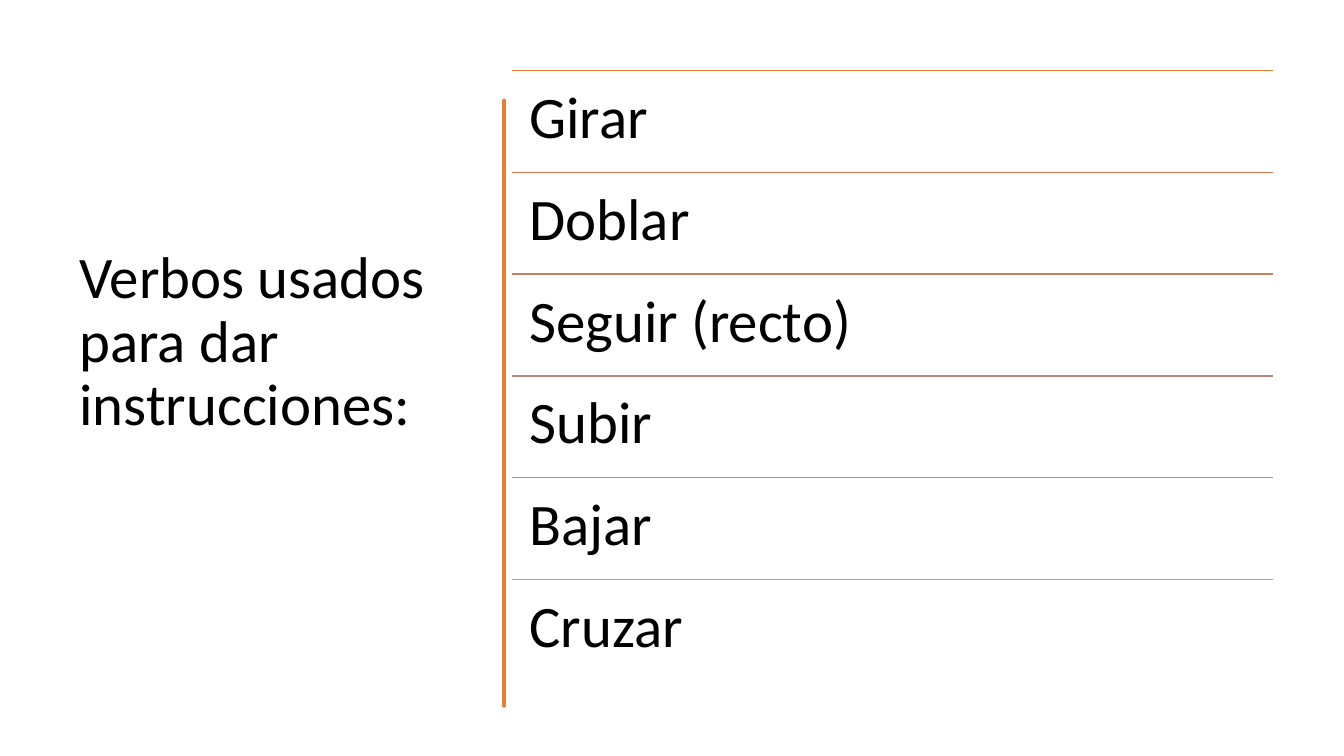
import pptx
import pptx.util
import pptx.dml.color
import pptx.enum.shapes
import pptx.enum.text
from lxml import etree
from pptx.util import Inches, Pt

RGBColor = pptx.dml.color.RGBColor
BLACK = RGBColor(0x00, 0x00, 0x00)
ORANGE = RGBColor(0xED, 0x7D, 0x31)

TITLE = "Verbos usados para dar instrucciones:\v"
VERBS = [
    ("Girar", ORANGE),
    ("Doblar", RGBColor(0xDC, 0x7A, 0x4B)),
    ("Seguir (recto)", RGBColor(0xCC, 0x7D, 0x64)),
    ("Subir", RGBColor(0xBD, 0x86, 0x7B)),
    ("Bajar", RGBColor(0xB0, 0x93, 0x91)),
    ("Cruzar", RGBColor(0xA5, 0xA5, 0xA5)),
]
LIST_LEFT, LIST_TOP, LIST_WIDTH, ROW_HEIGHT = 5.08, 0.7, 7.55, 1.01

# Hand-drawn bar: right edge downwards, then left edge upwards
BAR = [
    (4.75, 0.84), (4.76, 1.1), (4.75, 1.46), (4.75, 1.9), (4.75, 2.26),
    (4.75, 2.94), (4.76, 3.3), (4.75, 3.56), (4.76, 4.0), (4.76, 4.2),
    (4.74, 4.5), (4.74, 4.8), (4.75, 5.1), (4.76, 5.45), (4.75, 5.84),
    (4.75, 6.3), (4.75, 6.76),
    (4.73, 6.76), (4.72, 6.4), (4.73, 6.13), (4.73, 5.7), (4.72, 5.39),
    (4.73, 5.0), (4.73, 4.71), (4.72, 4.4), (4.73, 4.1), (4.73, 3.86),
    (4.72, 3.55), (4.73, 3.2), (4.73, 2.8), (4.72, 2.4), (4.73, 2.1),
    (4.73, 1.85), (4.72, 1.65), (4.73, 1.3), (4.73, 0.84),
]


def add_text(s, text, left, top, width, height, inset_x, inset_y):
    tb = s.shapes.add_textbox(Inches(left), Inches(top), Inches(width), Inches(height))
    tf = tb.text_frame
    tf.word_wrap = True
    tf.margin_left = tf.margin_right = Inches(inset_x)
    tf.margin_top = tf.margin_bottom = Inches(inset_y)
    p = tf.paragraphs[0]
    p.text = text
    p.line_spacing = 0.9
    p.font.size = Pt(42)
    for r in p.runs:
        r.font.name = "Calibri"
        r.font.size = Pt(42)
        r.font.color.rgb = BLACK
    return tf


def add_rule(s, left, top, width, color):
    line = s.shapes.add_connector(
        pptx.enum.shapes.MSO_CONNECTOR.STRAIGHT,
        Inches(left), Inches(top), Inches(left + width), Inches(top))
    line.line.color.rgb = color
    line.line.width = Pt(1)
    spPr = line._element.spPr
    etree.SubElement(spPr, pptx.oxml.ns.qn("a:effectLst"))


def add_bar(s):
    builder = s.shapes.build_freeform(*BAR[0], scale=Inches(1))
    builder.add_line_segments(BAR[1:], close=True)
    bar = builder.convert_to_shape()
    bar.shadow.inherit = False
    bar.fill.solid()
    bar.fill.fore_color.rgb = ORANGE
    bar.line.color.rgb = ORANGE
    bar.line.width = Pt(3.25)
    etree.SubElement(bar.line._get_or_add_ln(), pptx.oxml.ns.qn("a:round"))


def main():
    prs = pptx.Presentation()
    prs.slide_width, prs.slide_height = Inches(13.33), Inches(7.5)
    s = prs.slides.add_slide(prs.slide_layouts[6])

    title = add_text(s, TITLE, 0.69, 0.7, 3.74, 6.11, 0.1, 0.05)
    title.vertical_anchor = pptx.enum.text.MSO_ANCHOR.MIDDLE
    add_bar(s)
    for i, (verb, color) in enumerate(VERBS):
        top = LIST_TOP + i * ROW_HEIGHT
        add_rule(s, LIST_LEFT, top, LIST_WIDTH, color)
        add_text(s, verb, LIST_LEFT, top, LIST_WIDTH, ROW_HEIGHT, 0.17, 0.17)

    prs.save("out.pptx")


if __name__ == "__main__":
    main()
